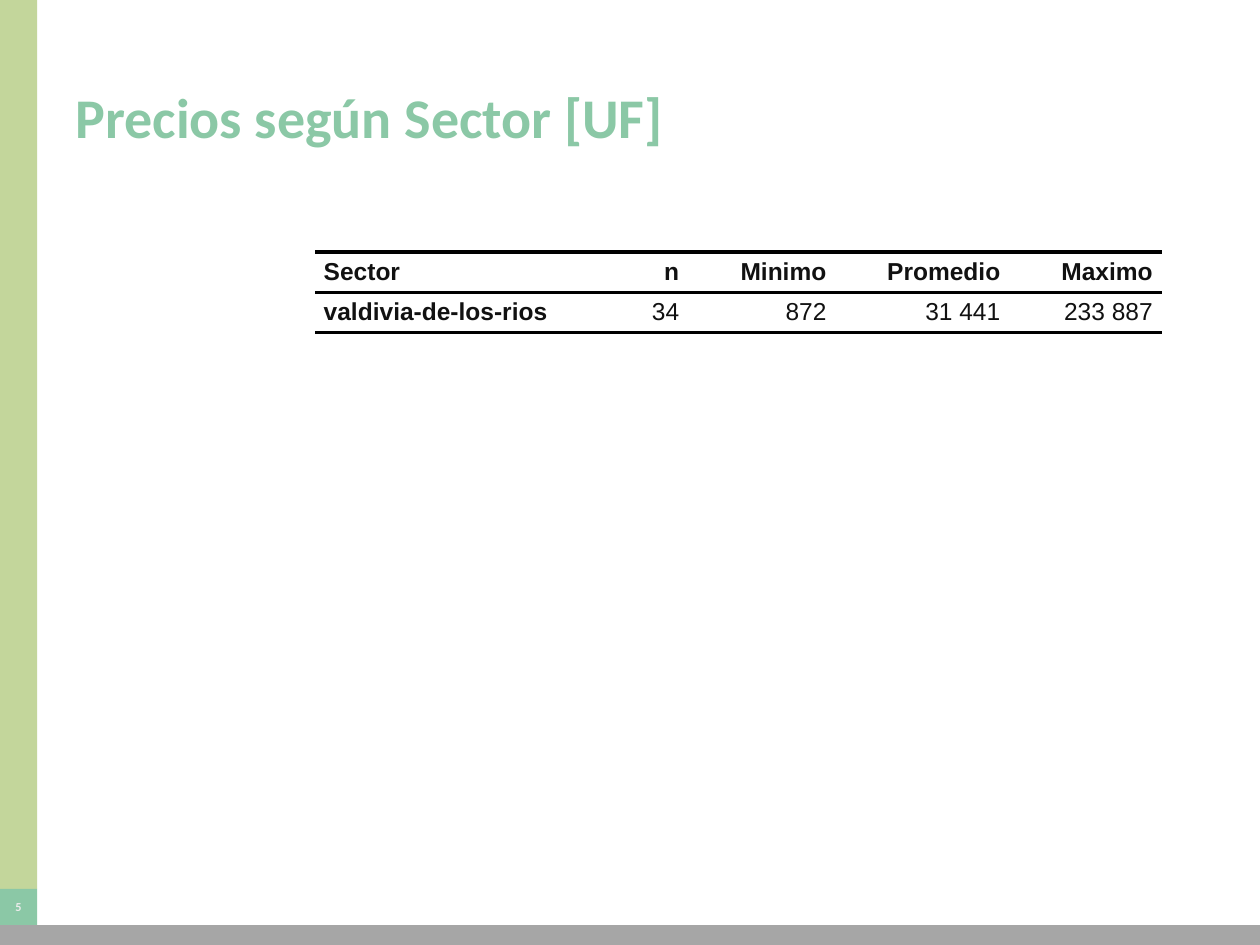
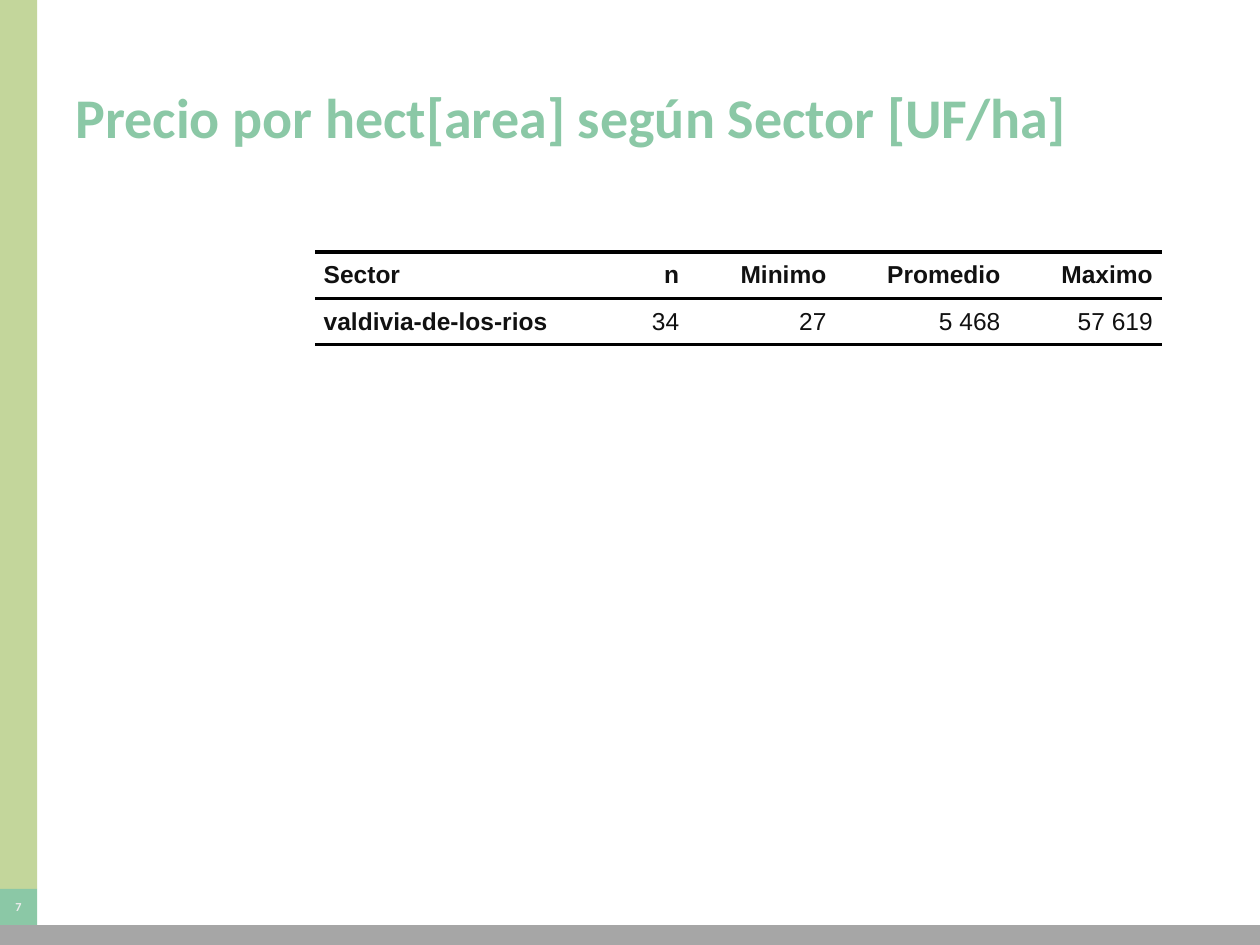
from lxml.etree import SubElement
from pptx import Presentation
from pptx.dml.color import RGBColor
from pptx.enum.shapes import MSO_SHAPE as Shape
from pptx.enum.text import MSO_ANCHOR as Anchor, PP_ALIGN as Align
from pptx.oxml import parse_xml
from pptx.oxml.ns import nsdecls, qn
from pptx.util import Pt

COLORS = {"strip": "C3D69B", "accent": "8BC8A6", "footer": "A6A6A6", "number": "ECECEC",
          "cell": "111111", "rule": "000000"}

HEADER = ("Sector", "n", "Minimo", "Promedio", "Maximo")
SLIDES = [
    {"number": "5", "title": "Precios según Sector [UF]", "row_height": 22.9,
     "values": ("valdivia-de-los-rios", "34", "872", "31 441", "233 887")},
    {"number": "7", "title": "Precio por hect[area] según Sector [UF/ha]", "row_height": 26.5,
     "values": ("valdivia-de-los-rios", "34", "27", "5 468", "57 619")},
]

WIDTH, HEIGHT = 720, 540
STRIP_WIDTH = 21.2
NUMBER_TOP, FOOTER_TOP = 508, 528.6
TITLE_BOX = (36, 21.6, 648, 90)
TABLE_LEFT, TABLE_TOP = 180, 144
COLUMN_WIDTHS = (162.7, 50.4, 84.2, 99.4, 87.1)
RULE_WIDTH = 2
NO_STYLE = "{2D5ABB26-0587-4C30-8999-92F81FD0307C}"

TITLE_FONT = {"name": "Calibri", "size": Pt(32), "bold": True}
NUMBER_FONT = {"name": "Calibri", "size": Pt(7), "bold": True}
CELL_FONT = {"name": "Arial", "size": Pt(14)}
CELL_FORMAT = {"margin_left": Pt(5), "margin_right": Pt(5), "margin_top": 0,
               "margin_bottom": 0, "vertical_anchor": Anchor.MIDDLE}


def set_all(target, values):
    for name, value in values.items():
        setattr(target, name, value)


def write(frame, text, font, color, align=Align.LEFT):
    para = frame.paragraphs[0]
    para.alignment = align
    span = para.add_run()
    span.text = text
    set_all(span.font, font)
    span.font.color.rgb = RGBColor.from_string(COLORS[color])
    return para


def add_band(page, left, top, width, height, color):
    band = page.shapes.add_shape(Shape.RECTANGLE, Pt(left), Pt(top), Pt(width), Pt(height))
    band.shadow.inherit = False
    band.fill.solid()
    band.fill.fore_color.rgb = RGBColor.from_string(COLORS[color])
    band.line.fill.background()
    return band


def add_frame(page, number, title):
    add_band(page, 0, 0, STRIP_WIDTH, NUMBER_TOP, "strip")
    badge = add_band(page, 0, NUMBER_TOP, STRIP_WIDTH, FOOTER_TOP - NUMBER_TOP, "accent")
    set_all(badge.text_frame, {"margin_left": 0, "margin_right": 0, "margin_top": 0,
                               "margin_bottom": 0, "vertical_anchor": Anchor.MIDDLE})
    write(badge.text_frame, number, NUMBER_FONT, "number", Align.CENTER)
    add_band(page, 0, FOOTER_TOP, WIDTH, HEIGHT - FOOTER_TOP, "footer")
    box = page.shapes.add_textbox(*map(Pt, TITLE_BOX))
    set_all(box.text_frame, {"word_wrap": True, "vertical_anchor": Anchor.MIDDLE})
    write(box.text_frame, title, TITLE_FONT, "accent")


def add_rules(cell):
    properties = cell._tc.get_or_add_tcPr()
    for position, side in enumerate(("lnT", "lnB")):
        line = parse_xml(f'<a:{side} {nsdecls("a")} w="{Pt(RULE_WIDTH)}"/>')
        fill = SubElement(line, qn("a:solidFill"))
        SubElement(fill, qn("a:srgbClr"), val=COLORS["rule"])
        properties.insert(position, line)


def add_price_table(page, rows, row_height):
    table = page.shapes.add_table(
        len(rows), len(HEADER), Pt(TABLE_LEFT), Pt(TABLE_TOP),
        Pt(sum(COLUMN_WIDTHS)), Pt(row_height * len(rows))).table
    table.horz_banding = False
    table._tbl.tblPr.find(qn("a:tableStyleId")).text = NO_STYLE
    for column, width in zip(table.columns, COLUMN_WIDTHS):
        column.width = Pt(width)
    for row_index, texts in enumerate(rows):
        table.rows[row_index].height = Pt(row_height)
        for column_index, text in enumerate(texts):
            cell = table.cell(row_index, column_index)
            set_all(cell, CELL_FORMAT)
            cell.fill.background()
            add_rules(cell)
            font = {**CELL_FONT, "bold": row_index == 0 or column_index == 0}
            align = Align.RIGHT if column_index else Align.LEFT
            para = write(cell.text_frame, text, font, "cell", align)
            set_all(para, {"space_before": Pt(2), "space_after": Pt(2)})


def main():
    deck = Presentation()
    set_all(deck, {"slide_width": Pt(WIDTH), "slide_height": Pt(HEIGHT)})
    for content in SLIDES:
        page = deck.slides.add_slide(deck.slide_layouts[6])
        add_frame(page, content["number"], content["title"])
        add_price_table(page, (HEADER, content["values"]), content["row_height"])
    deck.save("out.pptx")


if __name__ == "__main__":
    main()
